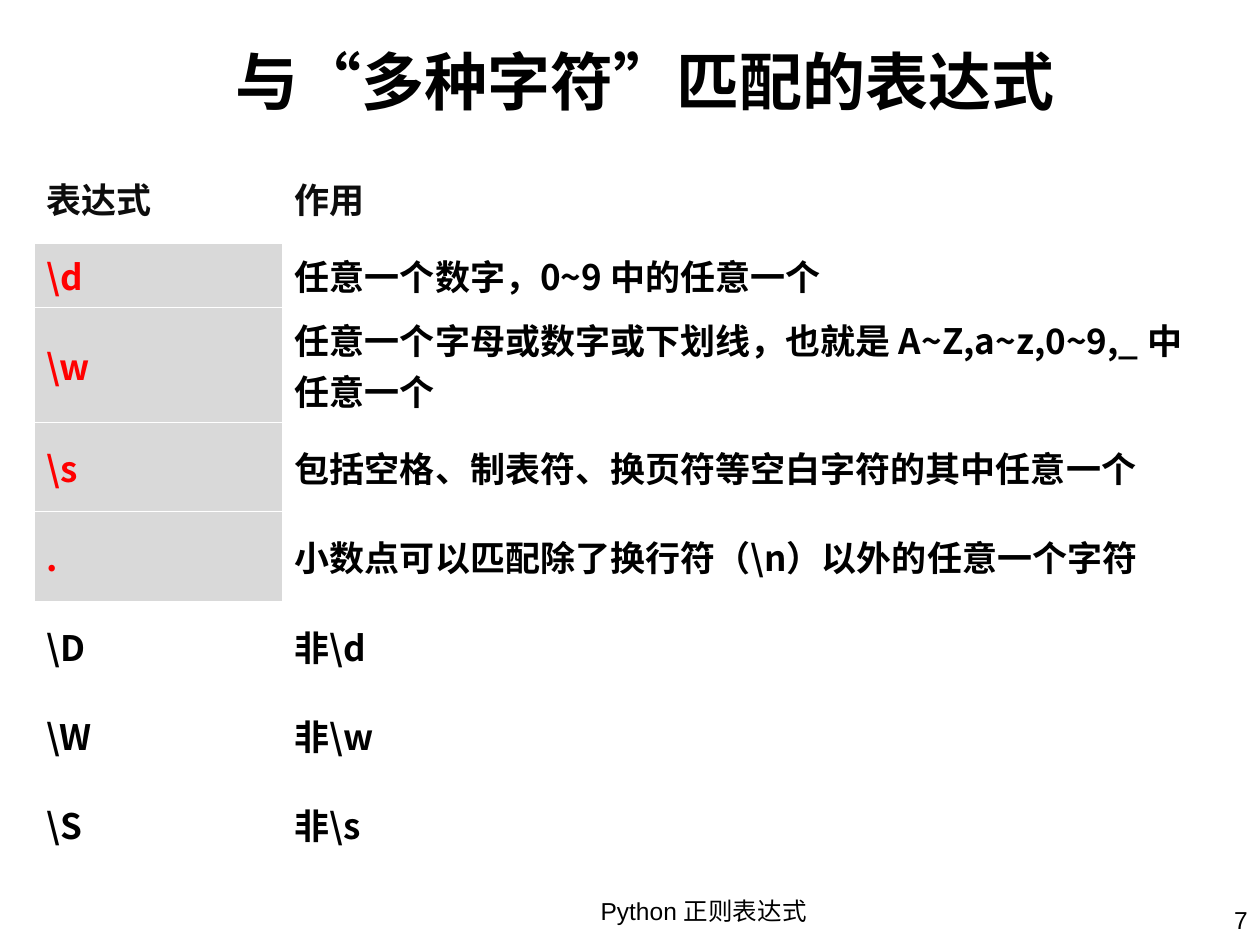
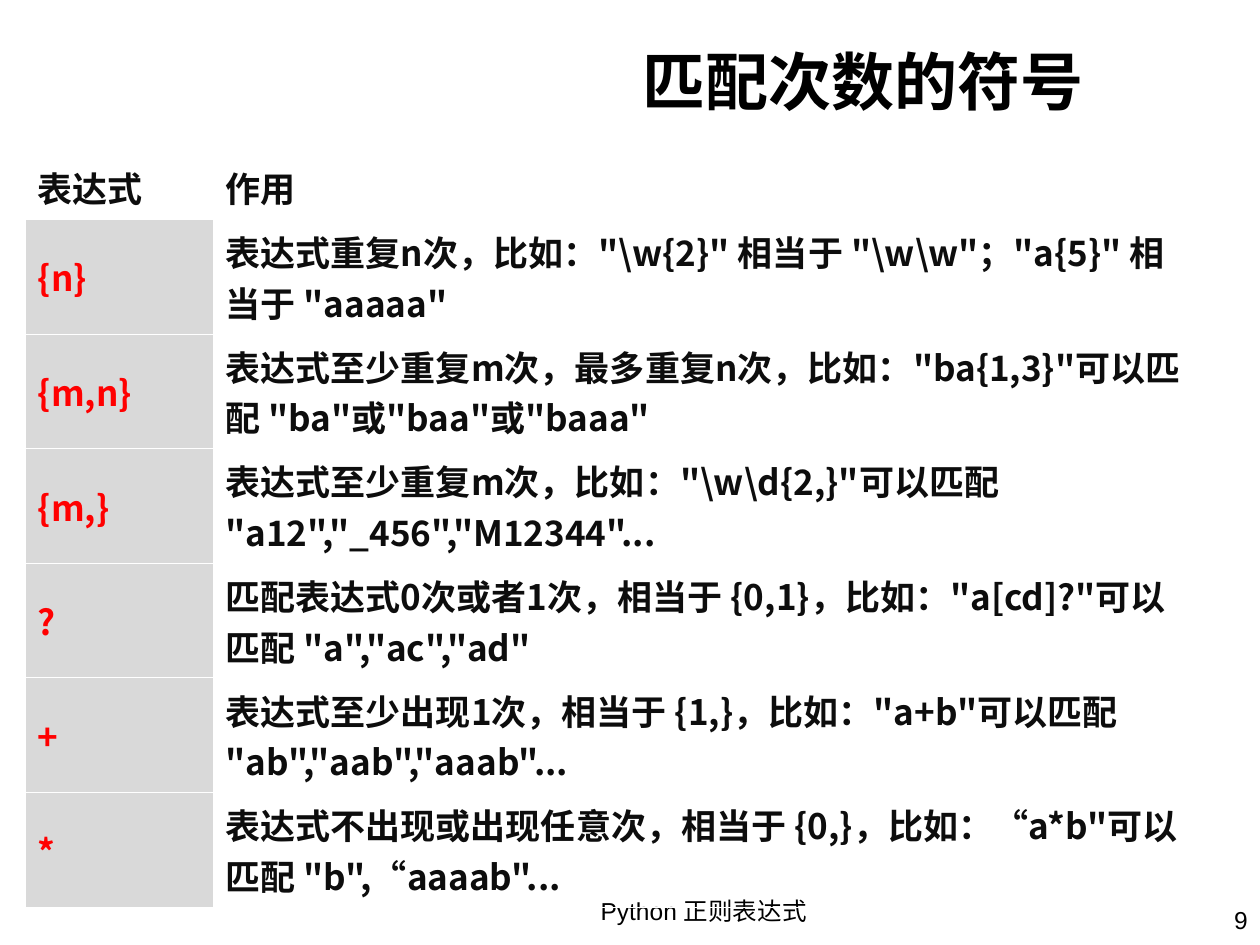
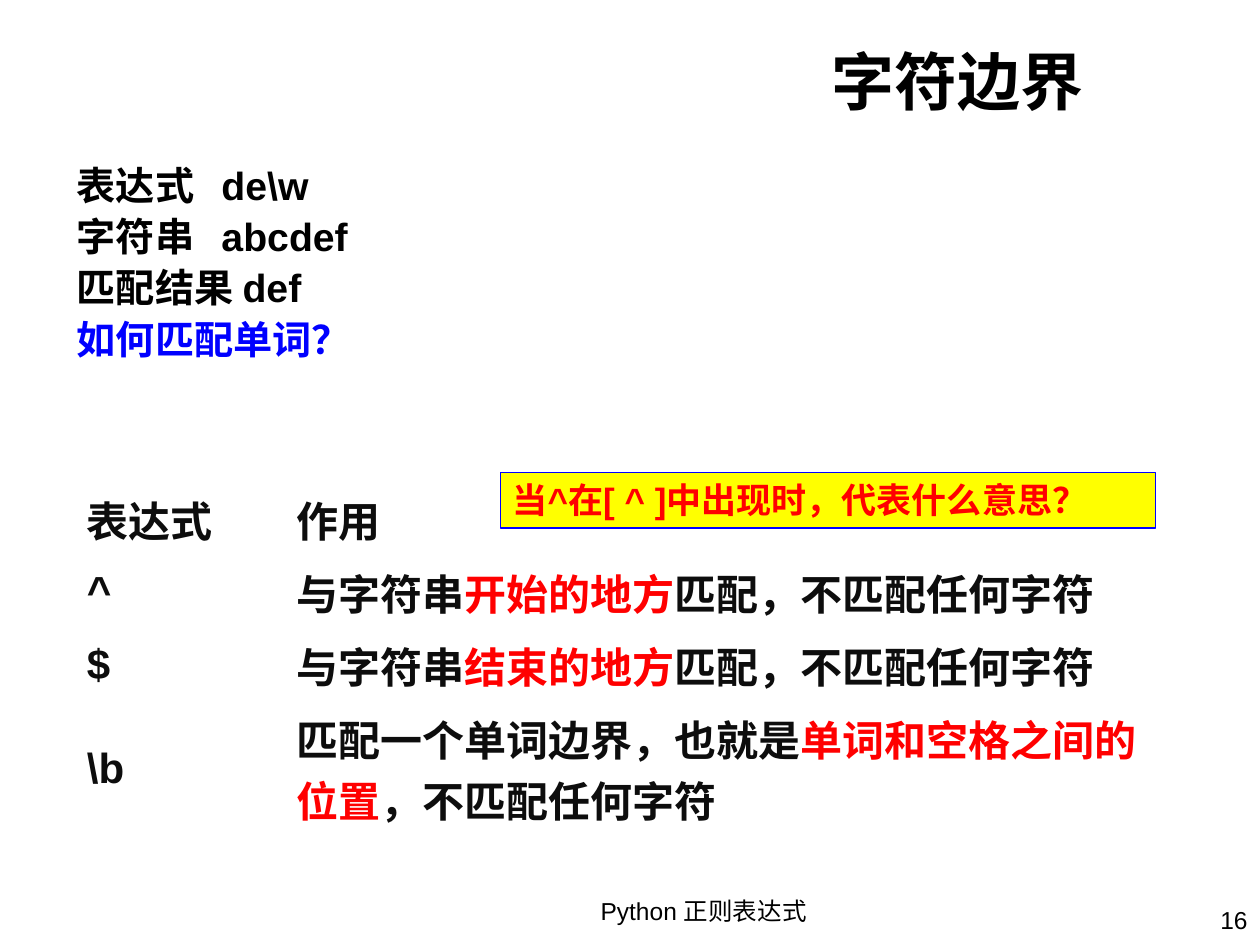
from dataclasses import dataclass

import lxml.etree
import pptx
import pptx.dml.color
import pptx.enum.shapes
import pptx.enum.text
import pptx.oxml.ns
import pptx.util
from pptx.util import Inches

COLORS = {
    "black": "000000",
    "ink": "0D0D0D",
    "red": "FF0000",
    "blue": "0000FF",
    "yellow": "FFFF00",
    "grey": "D9D9D9",
    "white": "FFFFFF",
}
CJK_FONT = "Noto Sans CJK SC"
LATIN_FONT = "Arial"
ALIGN = pptx.enum.text.PP_ALIGN
ANCHOR = pptx.enum.text.MSO_ANCHOR
qn = pptx.oxml.ns.qn


@dataclass(frozen=True)
class Style:
    size: float
    name: str = LATIN_FONT
    bold: bool = True


@dataclass(frozen=True)
class Span:
    text: str
    color: str


@dataclass(frozen=True)
class Box:
    left: float
    top: float
    width: float
    height: float

    def lengths(self) -> tuple:
        return tuple(Inches(v) for v in (self.left, self.top, self.width, self.height))


@dataclass(frozen=True)
class ExpressionTable:
    left: float
    top: float
    columns: tuple
    row_heights: tuple
    style: Style
    rows: tuple  # (expression, spans of its meaning)
    body_color: str
    highlighted: int = 0  # leading expressions shown red on grey


TITLE_STYLE = Style(36)
FOOTER_STYLE = Style(14, bold=False)
EXAMPLE_STYLE = Style(22.4)
CALLOUT_STYLE = Style(20)
FOOTER_BOX = Box(4.6, 7.06, 1.97, 0.44)
PAGE_BOX = Box(8.39, 7.13, 1.61, 0.37)


def rgb(color: str) -> pptx.dml.color.RGBColor:
    return pptx.dml.color.RGBColor.from_string(COLORS[color])


def write(paragraph, spans: list, style: Style, align=ALIGN.LEFT) -> None:
    paragraph.alignment = align
    font_values = {"size": pptx.util.Pt(style.size), "name": style.name, "bold": style.bold}
    for span in spans:
        run = paragraph.add_run()
        run.text = span.text
        for key, value in font_values.items():
            setattr(run.font, key, value)
        run.font.color.rgb = rgb(span.color)
        properties = run.font._element
        properties.set("lang", "zh-CN")
        east_asian = lxml.etree.SubElement(properties, qn("a:ea"))
        east_asian.set("typeface", CJK_FONT)


def add_label(slide, box: Box, text: str, align) -> None:
    frame = slide.shapes.add_textbox(*box.lengths()).text_frame
    frame.word_wrap = True
    write(frame.paragraphs[0], [Span(text, "black")], FOOTER_STYLE, align)


def start_slide(deck, title: str, page: int, title_left: float = 1.22):
    """Add a slide with its title, footer and page number."""
    slide = deck.slides.add_slide(deck.slide_layouts[5])
    heading = slide.shapes.title
    heading.left, heading.top, heading.width, heading.height = Box(
        title_left, 0.2, 7.48, 0.87
    ).lengths()
    heading.text_frame.vertical_anchor = ANCHOR.MIDDLE
    write(heading.text_frame.paragraphs[0], [Span(title, "black")], TITLE_STYLE, ALIGN.RIGHT)
    add_label(slide, FOOTER_BOX, "Python 正则表达式", ALIGN.CENTER)
    add_label(slide, PAGE_BOX, str(page), ALIGN.RIGHT)
    return slide


def add_borders(cell, top: float, bottom: float) -> None:
    properties = cell._tc.get_or_add_tcPr()
    for side, points in (("L", 0.45), ("R", 0.45), ("T", top), ("B", bottom)):
        line = lxml.etree.SubElement(properties, qn(f"a:ln{side}"), w=str(pptx.util.Pt(points)))
        fill = lxml.etree.SubElement(line, qn("a:solidFill"))
        lxml.etree.SubElement(fill, qn("a:srgbClr"), val=COLORS["white"])


def add_expression_table(slide, content: ExpressionTable) -> None:
    box = Box(content.left, content.top, sum(content.columns), sum(content.row_heights))
    table = slide.shapes.add_table(
        len(content.row_heights), len(content.columns), *box.lengths()
    ).table
    table.first_row = table.horz_banding = False
    for column, width in zip(table.columns, content.columns):
        column.width = Inches(width)
    header = ("表达式", [Span("作用", "ink")])
    for index, (expression, meaning) in enumerate((header, *content.rows)):
        table.rows[index].height = Inches(content.row_heights[index])
        is_highlighted = 0 < index <= content.highlighted
        key_color = "red" if is_highlighted else content.body_color if index else "ink"
        for column, spans in enumerate(([Span(expression, key_color)], meaning)):
            cell = table.cell(index, column)
            cell.vertical_anchor = ANCHOR.MIDDLE
            add_borders(
                cell,
                top=1.47 if index == 1 else 0.45,
                bottom=1.47 if index == 0 else 0.45,
            )
            if is_highlighted and column == 0:
                cell.fill.solid()
                cell.fill.fore_color.rgb = rgb("grey")
            else:
                cell.fill.background()
            write(cell.text_frame.paragraphs[0], spans, content.style)


def plain_rows(color: str, *rows: tuple) -> tuple:
    return tuple((expression, [Span(meaning, color)]) for expression, meaning in rows)


def emphasized(before: str, key: str, after: str) -> list:
    return [Span(before, "ink"), Span(key, "red"), Span(after, "ink")]


def add_examples(slide) -> None:
    frame = slide.shapes.add_textbox(*Box(0.51, 1.23, 9.06, 1.97).lengths()).text_frame
    frame.word_wrap = True
    lines = (
        Span("表达式\tde\\w", "black"),
        Span("字符串\tabcdef", "black"),
        Span("匹配结果 def", "black"),
        Span("如何匹配单词？", "blue"),
    )
    for index, line in enumerate(lines):
        paragraph = frame.add_paragraph() if index else frame.paragraphs[0]
        if "\t" in line.text:
            tabs = lxml.etree.SubElement(paragraph._p.get_or_add_pPr(), qn("a:tabLst"))
            lxml.etree.SubElement(tabs, qn("a:tab"), pos=str(Inches(1.15)), algn="l")
        if index:
            paragraph.space_before = pptx.util.Pt(2.4)
        write(paragraph, [line], EXAMPLE_STYLE)


def add_callout(slide, text: str) -> None:
    callout = slide.shapes.add_shape(
        pptx.enum.shapes.MSO_SHAPE.RECTANGLE, *Box(3.97, 3.75, 5.2, 0.44).lengths()
    )
    callout.shadow.inherit = False
    callout.fill.solid()
    callout.fill.fore_color.rgb = rgb("yellow")
    callout.line.color.rgb = rgb("blue")
    callout.line.width = pptx.util.Pt(0.75)
    frame = callout.text_frame
    frame.word_wrap = True
    frame.vertical_anchor = ANCHOR.TOP
    frame.auto_size = pptx.enum.text.MSO_AUTO_SIZE.SHAPE_TO_FIT_TEXT
    write(frame.paragraphs[0], [Span(text, "red")], CALLOUT_STYLE)


CHARACTER_CLASSES = ExpressionTable(
    0.27, 1.22, (1.97, 7.32), (0.71, 0.51, 0.91) + (0.71,) * 5, Style(20, CJK_FONT),
    plain_rows(
        "black",
        ("\\d", "任意一个数字，0~9 中的任意一个"),
        ("\\w", "任意一个字母或数字或下划线，也就是 A~Z,a~z,0~9,_ 中任意一个"),
        ("\\s", "包括空格、制表符、换页符等空白字符的其中任意一个"),
        (".", "小数点可以匹配除了换行符（\\n）以外的任意一个字符"),
        ("\\D", "非\\d"),
        ("\\W", "非\\w"),
        ("\\S", "非\\s"),
    ),
    body_color="black",
    highlighted=4,
)

QUANTIFIERS = ExpressionTable(
    0.2, 1.23, (1.49, 7.88), (0.51,) + (0.91,) * 6, Style(20, CJK_FONT),
    plain_rows(
        "ink",
        ("{n}", '表达式重复n次，比如："\\w{2}" 相当于 "\\w\\w"；"a{5}" 相当于 "aaaaa"'),
        ("{m,n}", '表达式至少重复m次，最多重复n次，比如："ba{1,3}"可以匹配 "ba"或"baa"或"baaa"'),
        ("{m,}", '表达式至少重复m次，比如："\\w\\d{2,}"可以匹配 "a12","_456","M12344"...'),
        ("?", '匹配表达式0次或者1次，相当于 {0,1}，比如："a[cd]?"可以匹配 "a","ac","ad"'),
        ("+", '表达式至少出现1次，相当于 {1,}，比如："a+b"可以匹配 "ab","aab","aaab"...'),
        ("*", '表达式不出现或出现任意次，相当于 {0,}，比如：“a*b"可以匹配 "b",“aaaab"...'),
    ),
    body_color="ink",
    highlighted=6,
)

BOUNDARIES = ExpressionTable(
    0.59, 3.83, (1.66, 7.16), (0.58, 0.58, 0.58, 1.07), Style(24),
    (
        ("^", emphasized("与字符串", "开始的地方", "匹配，不匹配任何字符")),
        ("$", emphasized("与字符串", "结束的地方", "匹配，不匹配任何字符")),
        ("\\b", emphasized("匹配一个单词边界，也就是", "单词和空格之间的位置", "，不匹配任何字符")),
    ),
    body_color="ink",
)


def main() -> None:
    deck = pptx.Presentation()
    deck.slide_width, deck.slide_height = Inches(10), Inches(7.5)

    classes = start_slide(deck, "与“多种字符”匹配的表达式", 7, title_left=0.99)
    add_expression_table(classes, CHARACTER_CLASSES)

    quantifiers = start_slide(deck, "匹配次数的符号", 9)
    add_expression_table(quantifiers, QUANTIFIERS)

    boundaries = start_slide(deck, "字符边界", 16)
    add_expression_table(boundaries, BOUNDARIES)
    add_examples(boundaries)
    add_callout(boundaries, "当^在[ ^ ]中出现时，代表什么意思？")

    deck.save("out.pptx")


if __name__ == "__main__":
    main()
